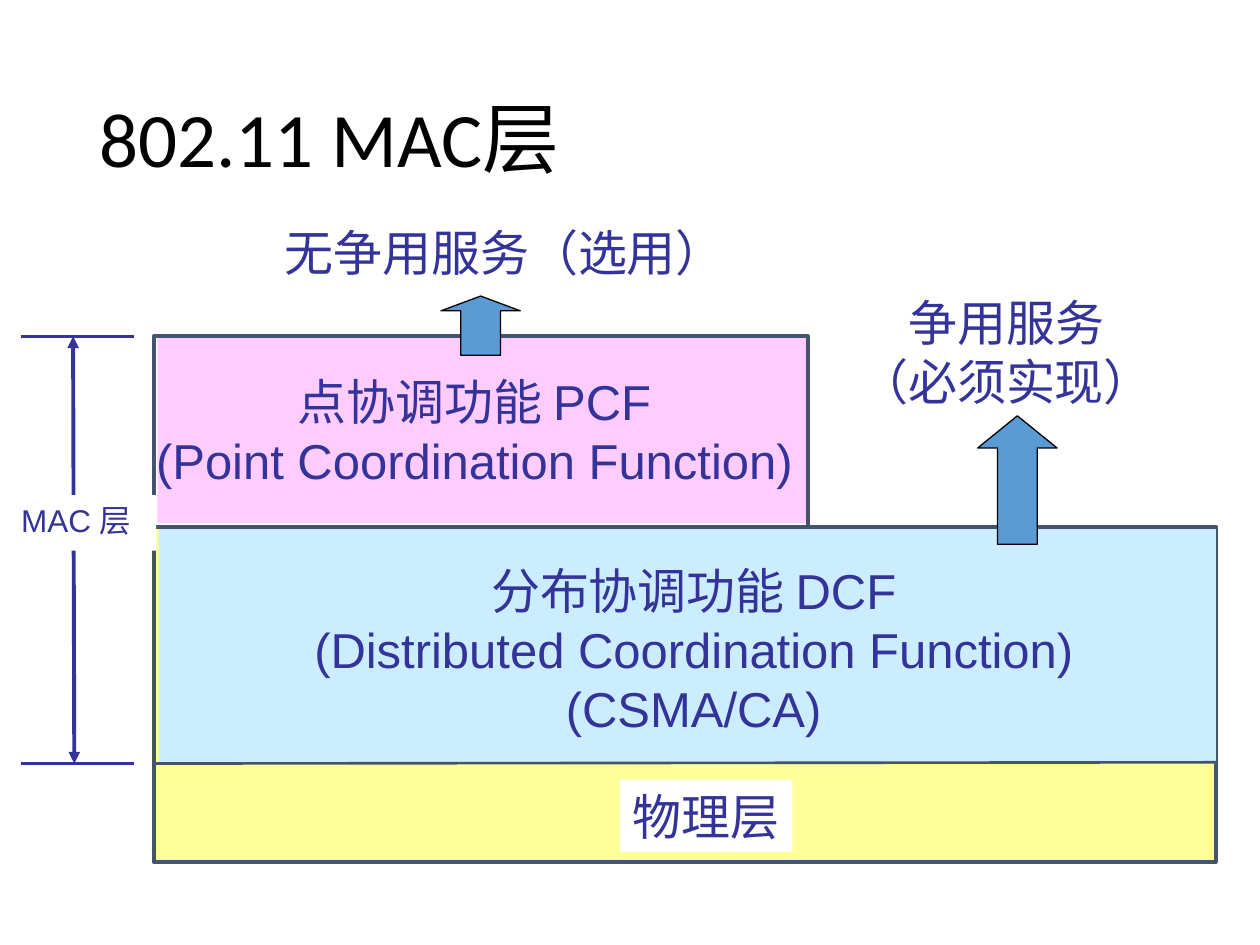
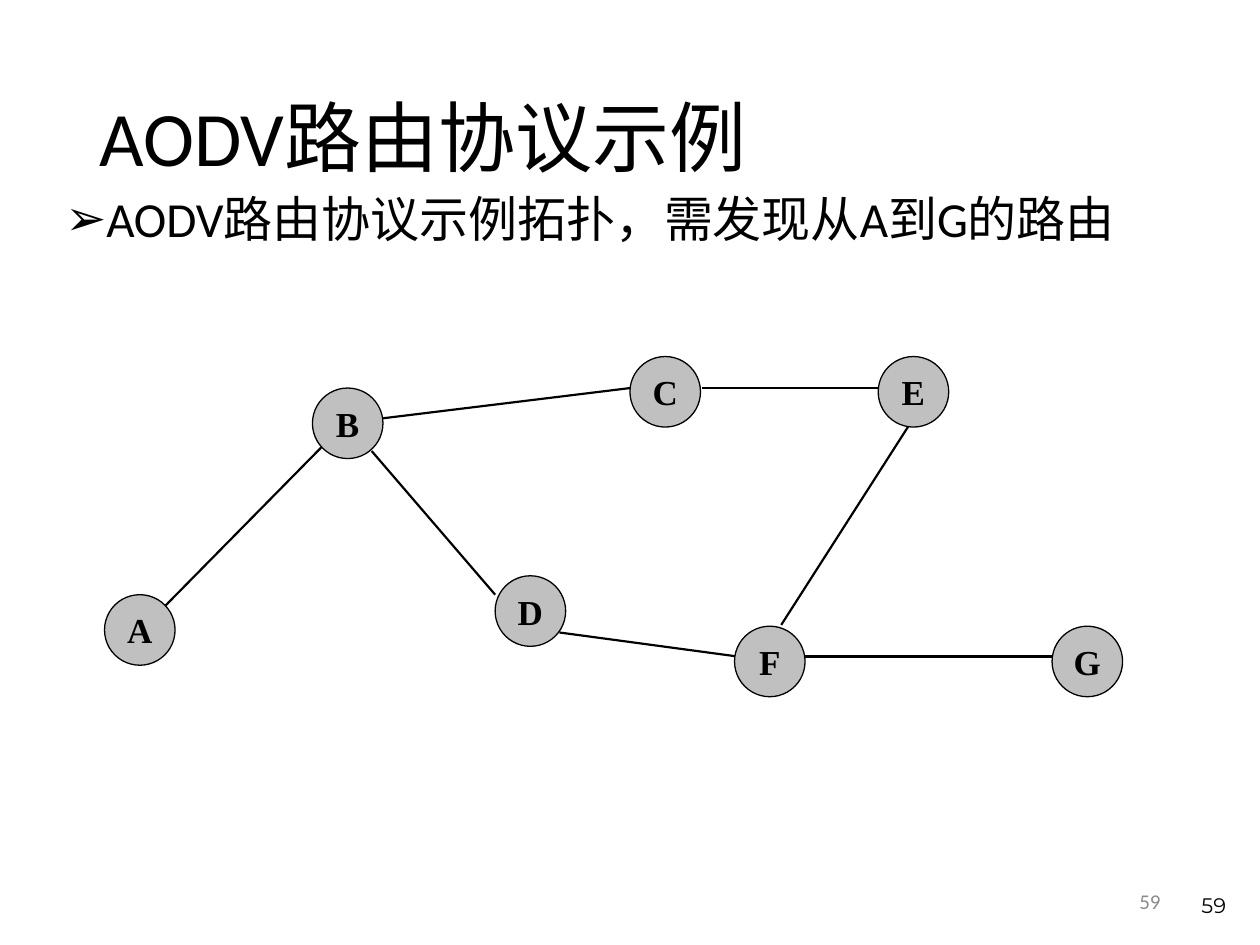
from lxml import etree
from pptx import Presentation
from pptx.dml.color import RGBColor
from pptx.enum.shapes import MSO_CONNECTOR, MSO_SHAPE
from pptx.enum.text import MSO_ANCHOR, MSO_AUTO_SIZE, PP_ALIGN
from pptx.oxml.ns import qn
from pptx.util import Inches, Pt

INK, SLATE, BLACK, WHITE, GREY = "333399", "44546A", "000000", "FFFFFF", "8C8C8C"
LEFT, CENTER, RIGHT = PP_ALIGN.LEFT, PP_ALIGN.CENTER, PP_ALIGN.RIGHT

MAC_TITLE = ("802.11 MAC层", (0.69, 0.63, 8.62, 1))
MAC_TOP, MAC_BOTTOM = 2.67, 6.06
LAYERS = [
    ((1.22, 4.18, 8.43, 2.66), "FFFF99", SLATE),
    ((1.26, 4.2, 8.39, 1.86), "CCECFF", None),
    ((1.25, MAC_TOP, 5.16, 1.48), "FFCCFF", None),
    ((1.22, MAC_TOP, 5.19, 1.51), None, SLATE),
]
LABELS = [
    ("MAC 层", (0.07, 3.93, 1.17, 0.44), 18, LEFT, WHITE),
    ("无争用服务（选用）", (2.16, 1.72, 3.94, 0.57), 28, LEFT, None),
    ("争用服务\n（必须实现）", (6.72, 2.27, 2.53, 1.03), 28, CENTER, None),
    ("分布协调功能 DCF\n(Distributed Coordination Function)\n(CSMA/CA)",
     (2.38, 4.4, 6.25, 1.5), 28, CENTER, None),
    ("点协调功能 PCF\n(Point Coordination Function)",
     (1.13, 2.9, 5.27, 1.03), 28, CENTER, None),
    ("物理层", (4.92, 6.19, 1.37, 0.57), 28, LEFT, WHITE),
]
RULES = [
    ((0.17, MAC_TOP), (1.06, MAC_TOP), INK),
    ((0.17, MAC_BOTTOM), (1.06, MAC_BOTTOM), INK),
    ((1.21, MAC_BOTTOM), (9.65, 6.05), SLATE),
]
SERVICE_ARROWS = [((7.76, 3.3, 0.63, 1.02), 0.406), ((3.5, 2.35, 0.63, 0.47), 0.25)]

AODV_TITLE = ("AODV路由协议示例", (0.69, 0.4, 8.62, 1.45))
AODV_TASK = "AODV路由协议示例拓扑，需发现从A到G的路由"
PAGE_NUMBERS = [
    ((7.06, 6.95, 2.25, 0.4), "Calibri", GREY, MSO_ANCHOR.MIDDLE),
    ((7.5, 6.83, 2.33, 0.5), "Montserrat", BLACK, MSO_ANCHOR.BOTTOM),
]
NODE_SIZE = 0.56
NODES = {"A": (0.83, 4.72), "B": (2.48, 3.08), "C": (5, 2.83), "D": (3.93, 4.57),
         "E": (6.97, 2.83), "F": (5.83, 4.97), "G": (8.35, 4.97)}
LINKS = [
    ((1.31, 4.81), (2.6, 3.5)),
    ((3.04, 3.32), (5, 3.08)),
    ((5.57, 3.08), (6.97, 3.08)),
    ((2.95, 3.58), (3.93, 4.72)),
    ((4.44, 5.02), (5.85, 5.21)),
    ((6.2, 4.96), (7.25, 3.32)),
    ((6.39, 5.21), (8.35, 5.21)),
]


def color(value):
    return RGBColor.from_string(value)


def lengths(values):
    return [Inches(value) for value in values]


def write(shape, text, size, font, ink, align=LEFT, anchor=MSO_ANCHOR.TOP,
          wrap=True, bold=False):
    frame = shape.text_frame
    frame.text = text
    frame.auto_size = MSO_AUTO_SIZE.NONE
    frame.word_wrap = wrap
    frame.vertical_anchor = anchor
    for para in frame.paragraphs:
        para.alignment = align
        for span in para.runs:
            span.font.size = Pt(size)
            span.font.name = font
            span.font.bold = bold
            span.font.color.rgb = color(ink)
    return frame


def add_title_page(deck, title, place):
    page = deck.slides.add_slide(deck.slide_layouts[5])
    heading = page.shapes.title
    heading.left, heading.top, heading.width, heading.height = lengths(place)
    frame = write(heading, title, 44, "Calibri", BLACK, anchor=MSO_ANCHOR.MIDDLE)
    frame.paragraphs[0].line_spacing = 0.9
    return page


def add_figure(page, preset, place, fill, line, width=0.75):
    figure = page.shapes.add_shape(preset, *lengths(place))
    figure.shadow.inherit = False
    if fill:
        figure.fill.solid()
        figure.fill.fore_color.rgb = color(fill)
    else:
        figure.fill.background()
    if line:
        figure.line.color.rgb = color(line)
        figure.line.width = Pt(width)
    else:
        figure.line.fill.background()
    return figure


def add_line(page, start, end, ink, width, arrows=False):
    line = page.shapes.add_connector(MSO_CONNECTOR.STRAIGHT, *lengths(start + end))
    line.line.color.rgb = color(ink)
    line.line.width = Pt(width)
    properties = line.element.spPr
    if arrows:
        outline = properties.find(qn("a:ln"))
        for tag in ("a:headEnd", "a:tailEnd"):
            etree.SubElement(outline, qn(tag), type="triangle")
    etree.SubElement(properties, qn("a:effectLst"))


def add_label(page, text, place, size, align, fill):
    if fill:
        box = add_figure(page, MSO_SHAPE.RECTANGLE, place, fill, None)
    else:
        box = page.shapes.add_textbox(*lengths(place))
    write(box, text, size, "Arial", INK, align, wrap=False)


def add_bullet(para, mark, indent):
    properties = para._p.get_or_add_pPr()
    properties.set("marL", str(Inches(indent)))
    properties.set("indent", str(-Inches(indent)))
    etree.SubElement(properties, qn("a:buFont"), typeface="Arial")
    etree.SubElement(properties, qn("a:buChar"), char=mark)


def build_mac_page(deck):
    page = add_title_page(deck, *MAC_TITLE)
    add_line(page, (0.58, MAC_TOP), (0.59, MAC_BOTTOM), INK, 2.25, arrows=True)
    for place, fill, line in LAYERS:
        add_figure(page, MSO_SHAPE.RECTANGLE, place, fill, line, 2.25)
    for label in LABELS:
        add_label(page, *label)
    for start, end, ink in RULES:
        add_line(page, start, end, ink, 1.5)
    for place, head in SERVICE_ARROWS:
        arrow = add_figure(page, MSO_SHAPE.UP_ARROW, place, "5B9BD5", BLACK)
        arrow.adjustments[0] = 0.5
        arrow.adjustments[1] = head


def build_aodv_page(deck):
    page = add_title_page(deck, *AODV_TITLE)
    task = page.shapes.add_textbox(*lengths((0.42, 1.5, 8.92, 0.58)))
    para = write(task, AODV_TASK, 28, "Calibri", BLACK).paragraphs[0]
    para.line_spacing = 0.9
    para.space_before = Pt(10)
    add_bullet(para, "➢", 0.25)
    for place, font, ink, anchor in PAGE_NUMBERS:
        box = page.shapes.add_textbox(*lengths(place))
        write(box, "59", 12, font, ink, RIGHT, anchor)
    for start, end in LINKS:
        add_line(page, start, end, BLACK, 1.25)
    for name, corner in NODES.items():
        place = corner + (NODE_SIZE, NODE_SIZE)
        node = add_figure(page, MSO_SHAPE.OVAL, place, "C0C0C0", BLACK)
        frame = write(node, name, 20, "Times New Roman", BLACK, CENTER,
                      MSO_ANCHOR.MIDDLE, bold=True)
        frame.margin_left = frame.margin_right = 0
        frame.margin_top = frame.margin_bottom = 0


def main():
    deck = Presentation()
    deck.slide_width, deck.slide_height = Inches(10), Inches(7.5)
    build_mac_page(deck)
    build_aodv_page(deck)
    deck.save("out.pptx")


if __name__ == "__main__":
    main()
